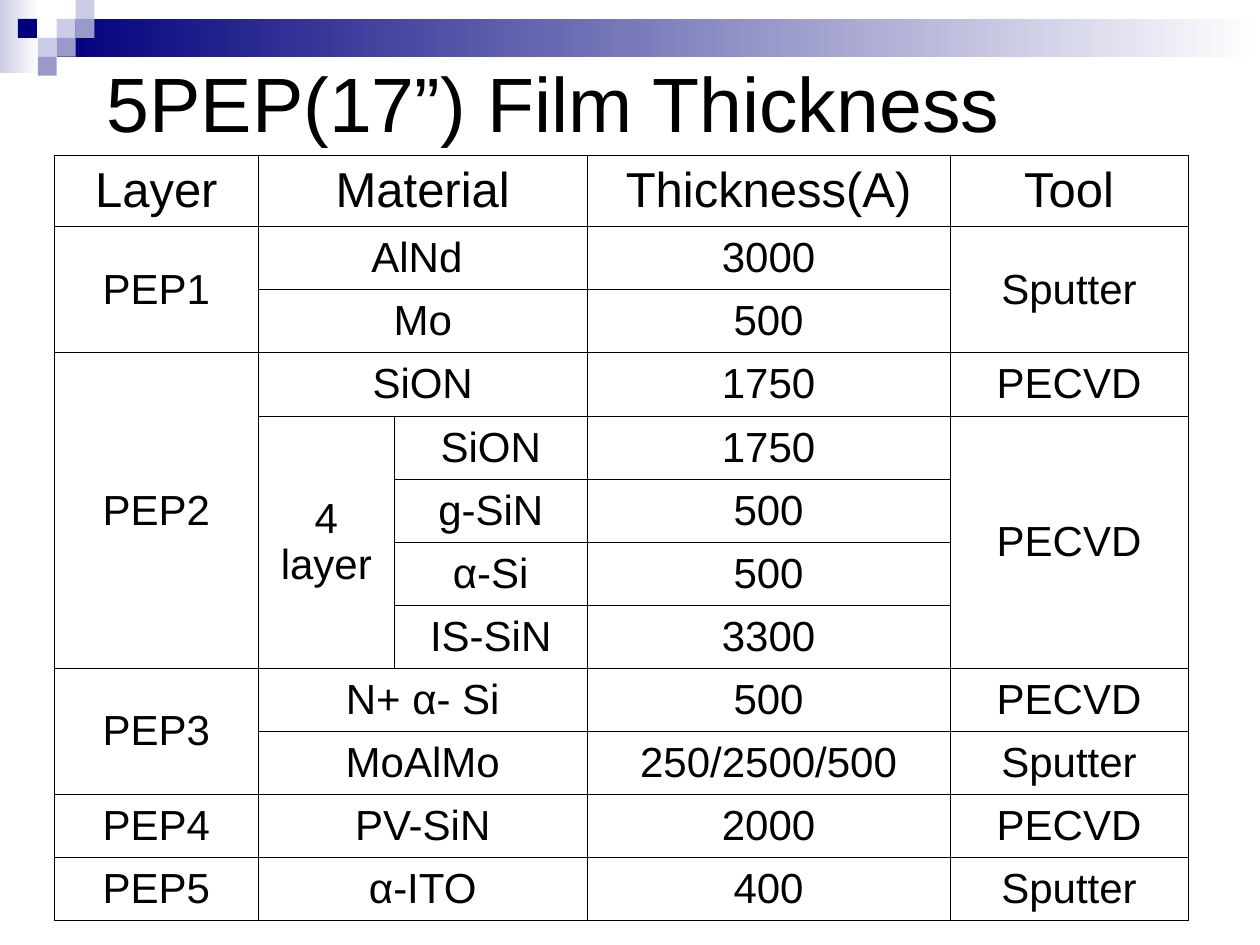
from pptx import Presentation
from pptx.dml.color import RGBColor
from pptx.enum.shapes import MSO_SHAPE
from pptx.enum.text import MSO_ANCHOR, PP_ALIGN
from pptx.oxml.ns import qn
from pptx.util import Inches, Pt
from lxml import etree

RECTANGLE = MSO_SHAPE.RECTANGLE
MIDDLE = MSO_ANCHOR.MIDDLE
CENTER = PP_ALIGN.CENTER
LEFT = PP_ALIGN.LEFT

WHITE = RGBColor(0xFF, 0xFF, 0xFF)
BLACK = RGBColor(0, 0, 0)
NAVY = RGBColor(0x00, 0x00, 0x7D)
LILAC = RGBColor(0xCC, 0xCC, 0xE6)
PERIWINKLE = RGBColor(0x99, 0x99, 0xCC)

GRID = 0.15
COLUMN_WIDTHS = [1.62, 1.08, 1.53, 2.88, 1.89]
HEADER_HEIGHT, ROW_HEIGHT = 0.57, 0.5

ACROSS, DOWN = "<", "^"
FILMS = [
    ["Layer", "Material", ACROSS, "Thickness(A)", "Tool"],
    ["PEP1", "AlNd ", ACROSS, "3000", "Sputter"],
    [DOWN, "Mo", ACROSS, "500", DOWN],
    ["PEP2", "SiON", ACROSS, "1750", "PECVD"],
    [DOWN, "4 layer", "SiON", "1750", "PECVD"],
    [DOWN, DOWN, "g-SiN", "500", DOWN],
    [DOWN, DOWN, "α-Si", "500", DOWN],
    [DOWN, DOWN, "IS-SiN", "3300", DOWN],
    ["PEP3", "N+ α- Si", ACROSS, "500", "PECVD"],
    [DOWN, "MoAlMo", ACROSS, "250/2500/500", "Sputter"],
    ["PEP4", "PV-SiN", ACROSS, "2000", "PECVD"],
    ["PEP5", "α-ITO", ACROSS, "400", "Sputter"],
]
SQUARES = [
    (3, 1, LILAC), (4, 0, LILAC), (4, 1, PERIWINKLE), (2, 2, LILAC),
    (0.95, 1, NAVY), (3, 2, PERIWINKLE), (2, 3, PERIWINKLE),
]


def run_length(values, mark):
    count = 1
    for value in values:
        if value != mark:
            break
        count += 1
    return count


class SlideBuilder:
    font = "Arial"
    border_width = Pt(0.45)

    def __init__(self, slide):
        self.slide = slide

    def place(self, *cells):
        return [Inches(cell * GRID) for cell in cells]

    def block(self, column, row, columns, rows, color, fades=False):
        shape = self.slide.shapes.add_shape(
            RECTANGLE, *self.place(column, row, columns, rows))
        shape.shadow.inherit = False
        shape.line.fill.background()
        if fades:
            shape.fill.gradient()
            shape.fill.gradient_angle = 180
            start, end = shape.fill.gradient_stops
            start.position, end.position = 0, 1
            start.color.rgb, end.color.rgb = WHITE, color
        else:
            shape.fill.solid()
            shape.fill.fore_color.rgb = color

    def set_text(self, frame, text, size, alignment, space_before=0):
        frame.text = text
        para = frame.paragraphs[0]
        para.alignment = alignment
        para.space_before = Pt(space_before)
        for span in para.runs:
            span.font.name = self.font
            span.font.size = Pt(size)
            span.font.color.rgb = BLACK

    def title(self, column, row, columns, rows, text):
        box = self.slide.shapes.add_textbox(
            *self.place(column, row, columns, rows))
        box.text_frame.word_wrap = True
        box.text_frame.vertical_anchor = MIDDLE
        self.set_text(box.text_frame, text, 44, LEFT)

    def border(self, cell):
        properties = cell._tc.get_or_add_tcPr()
        for side in ("a:lnL", "a:lnR", "a:lnT", "a:lnB"):
            line = etree.SubElement(
                properties, qn(side), w=str(self.border_width))
            fill = etree.SubElement(line, qn("a:solidFill"))
            etree.SubElement(fill, qn("a:srgbClr"), val=str(BLACK))

    def table(self, column, row, values, widths):
        heights = [HEADER_HEIGHT] + [ROW_HEIGHT] * (len(values) - 1)
        table = self.slide.shapes.add_table(
            len(values), len(widths), *self.place(column, row),
            Inches(sum(widths)), Inches(sum(heights))).table
        table.first_row = table.horz_banding = False
        for table_column, width in zip(table.columns, widths):
            table_column.width = Inches(width)
        for table_row, height in zip(table.rows, heights):
            table_row.height = Inches(height)
        for y, line in enumerate(values):
            for x, text in enumerate(line):
                cell = table.cell(y, x)
                self.border(cell)
                cell.fill.background()
                if text in (ACROSS, DOWN):
                    continue
                wide = run_length(line[x + 1:], ACROSS)
                high = run_length([below[x] for below in values[y + 1:]], DOWN)
                if wide * high > 1:
                    cell.merge(table.cell(y + high - 1, x + wide - 1))
                cell.vertical_anchor = MIDDLE
                size, space = (24, 6) if y else (28, 7)
                self.set_text(cell.text_frame, text, size, CENTER, space)


def main():
    deck = Presentation()
    deck.slide_width, deck.slide_height = Inches(10), Inches(7.5)
    page = SlideBuilder(deck.slides.add_slide(deck.slide_layouts[6]))
    page.block(0, 0, 2.07, 3.87, LILAC, fades=True)
    page.block(3, 1, 63.67, 2, NAVY, fades=True)
    for column, row, color in SQUARES:
        page.block(column, row, 1, 1, color)
    page.title(5, 1.87, 60, 7, "5PEP(17”) Film Thickness")
    page.table(2.87, 8.2, FILMS, COLUMN_WIDTHS)
    deck.save("out.pptx")


if __name__ == "__main__":
    main()
